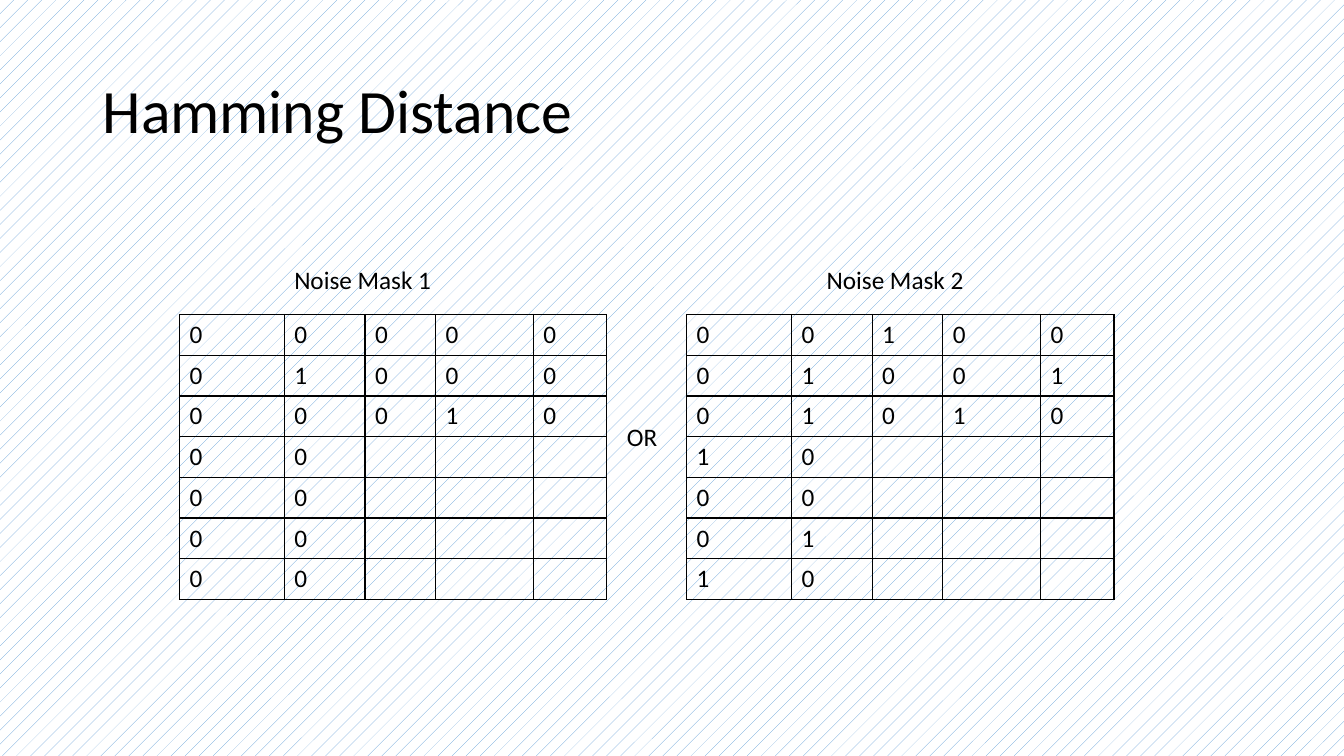
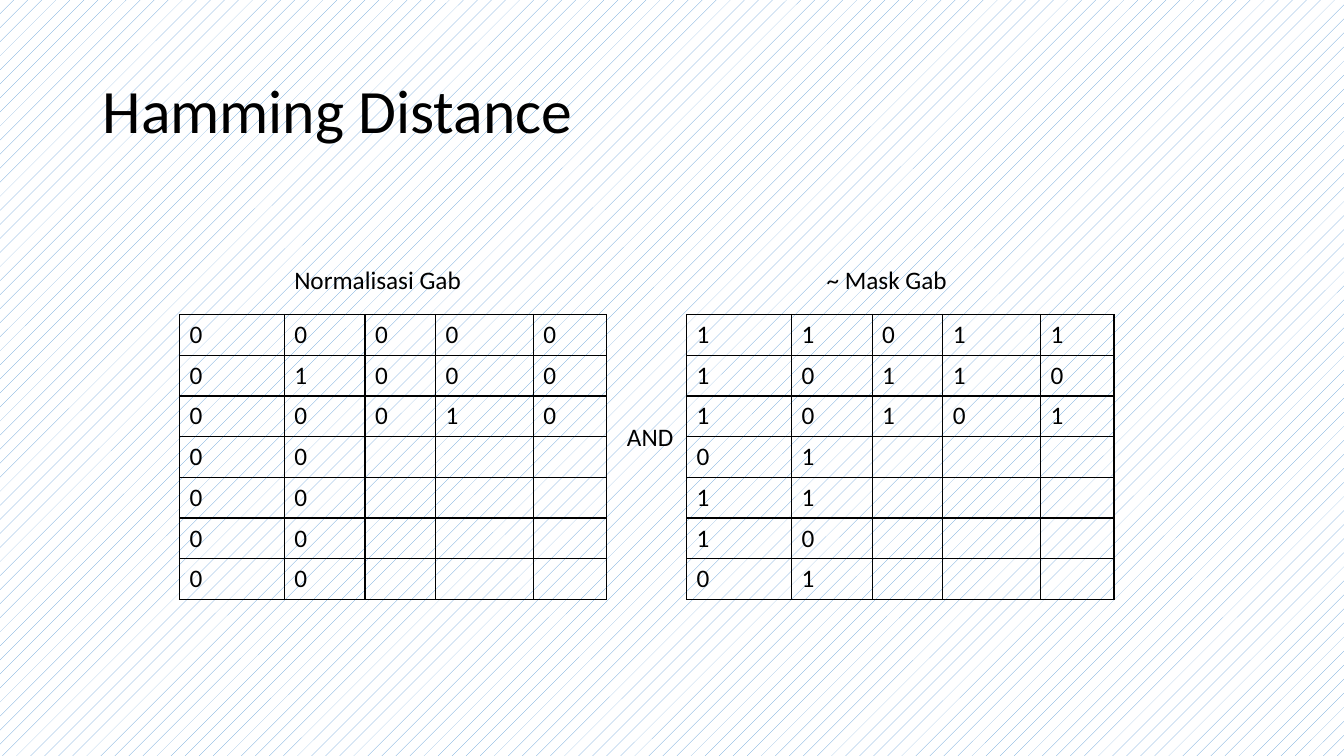
from dataclasses import dataclass

from lxml.etree import SubElement
from pptx import Presentation
from pptx.dml.color import RGBColor
from pptx.enum.dml import MSO_PATTERN
from pptx.enum.text import MSO_ANCHOR, MSO_AUTO_SIZE
from pptx.oxml.ns import qn
from pptx.util import Inches, Pt


@dataclass(frozen=True)
class Theme:
    font: str = "Calibri"
    ink: str = "000000"
    paper: str = "FFFFFF"
    accent: str = "5B9BD5"
    title_size: int = 44
    body_size: int = 18
    border: int = 1


theme = Theme()

# Shared geometry, in inches
COLUMN_WIDTHS = [1.04, 0.8, 0.7, 0.97, 0.73]
TABLE_TOP, TABLE_HEIGHT = 3.12, 2.83
TABLE_LEFTS = [1.78, 6.81]
CAPTION_BOXES = [(2.82, 2.57, 2.32, 0.4), (8.1, 2.57, 2.22, 0.4)]
OPERATOR_BOX = (6.12, 4.13, 0.69, 0.4)
TITLE_BOX = (0.92, 0.4, 11.5, 1.45)

# Bit grids, one string per row
MASK_1 = ["00000", "01000", "00010", "00", "00", "00", "00"]
MASK_2 = ["00100", "01001", "01010", "10", "00", "01", "10"]
NOT_COMBINED_MASK = ["11011", "10110", "10101", "01", "11", "10", "01"]

SLIDES = [
    ("OR", [("Noise Mask 1", MASK_1), ("Noise Mask 2", MASK_2)]),
    ("AND", [("Normalisasi Gab", MASK_1), ("~ Mask Gab", NOT_COMBINED_MASK)]),
]


def write_text(frame, text, size=theme.body_size, anchor=MSO_ANCHOR.TOP,
               spacing=None, autosize=None):
    frame.word_wrap = True
    frame.vertical_anchor = anchor
    if autosize is not None:
        frame.auto_size = autosize
    para = frame.paragraphs[0]
    para.line_spacing = spacing
    para.font.size = Pt(size)
    span = para.add_run()
    span.text = text
    span.font.name = theme.font
    span.font.size = Pt(size)
    span.font.color.rgb = RGBColor.from_string(theme.ink)


def add_bit_table(page, left, rows):
    table = page.shapes.add_table(
        len(rows), len(COLUMN_WIDTHS), Inches(left), Inches(TABLE_TOP),
        Inches(sum(COLUMN_WIDTHS)), Inches(TABLE_HEIGHT)).table
    table.first_row = table.horz_banding = False
    for column, width in zip(table.columns, COLUMN_WIDTHS):
        column.width = Inches(width)
    for row_index, bits in enumerate(rows):
        for column_index in range(len(COLUMN_WIDTHS)):
            cell = table.cell(row_index, column_index)
            # Borders come before the fill in the cell properties
            properties = cell._tc.get_or_add_tcPr()
            for side in ("lnL", "lnR", "lnT", "lnB"):
                line = SubElement(properties, qn(f"a:{side}"),
                                  w=str(Pt(theme.border)))
                solid = SubElement(line, qn("a:solidFill"))
                SubElement(solid, qn("a:srgbClr"), val=theme.ink)
            cell.fill.background()
            if column_index < len(bits):
                write_text(cell.text_frame, bits[column_index])


deck = Presentation()
deck.slide_width, deck.slide_height = Inches(13.33), Inches(7.5)

# Patterned background on the master
fill = deck.slide_master.background.fill
fill.patterned()
fill.pattern = MSO_PATTERN.PERCENT_5
fill.fore_color.rgb = RGBColor.from_string(theme.accent)
fill.back_color.rgb = RGBColor.from_string(theme.paper)

for operator, operands in SLIDES:
    page = deck.slides.add_slide(deck.slide_layouts[6])

    # Title
    box = page.shapes.add_textbox(*map(Inches, TITLE_BOX))
    write_text(box.text_frame, "Hamming Distance", size=theme.title_size,
               anchor=MSO_ANCHOR.MIDDLE, spacing=0.9)

    # Two captioned bit tables
    for (caption, rows), left, bounds in zip(operands, TABLE_LEFTS, CAPTION_BOXES):
        add_bit_table(page, left, rows)
        box = page.shapes.add_textbox(*map(Inches, bounds))
        write_text(box.text_frame, caption, autosize=MSO_AUTO_SIZE.SHAPE_TO_FIT_TEXT)

    # Operator between the tables
    box = page.shapes.add_textbox(*map(Inches, OPERATOR_BOX))
    write_text(box.text_frame, operator, autosize=MSO_AUTO_SIZE.SHAPE_TO_FIT_TEXT)

deck.save("out.pptx")
